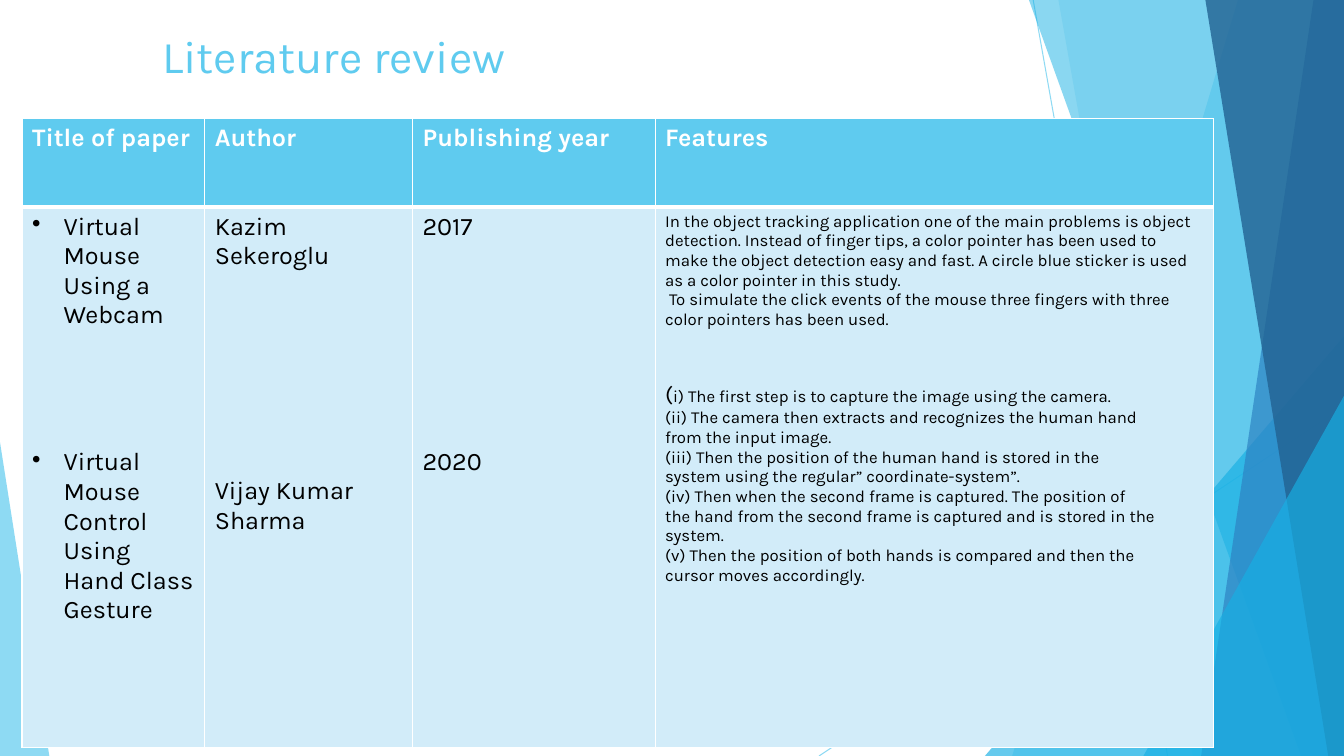
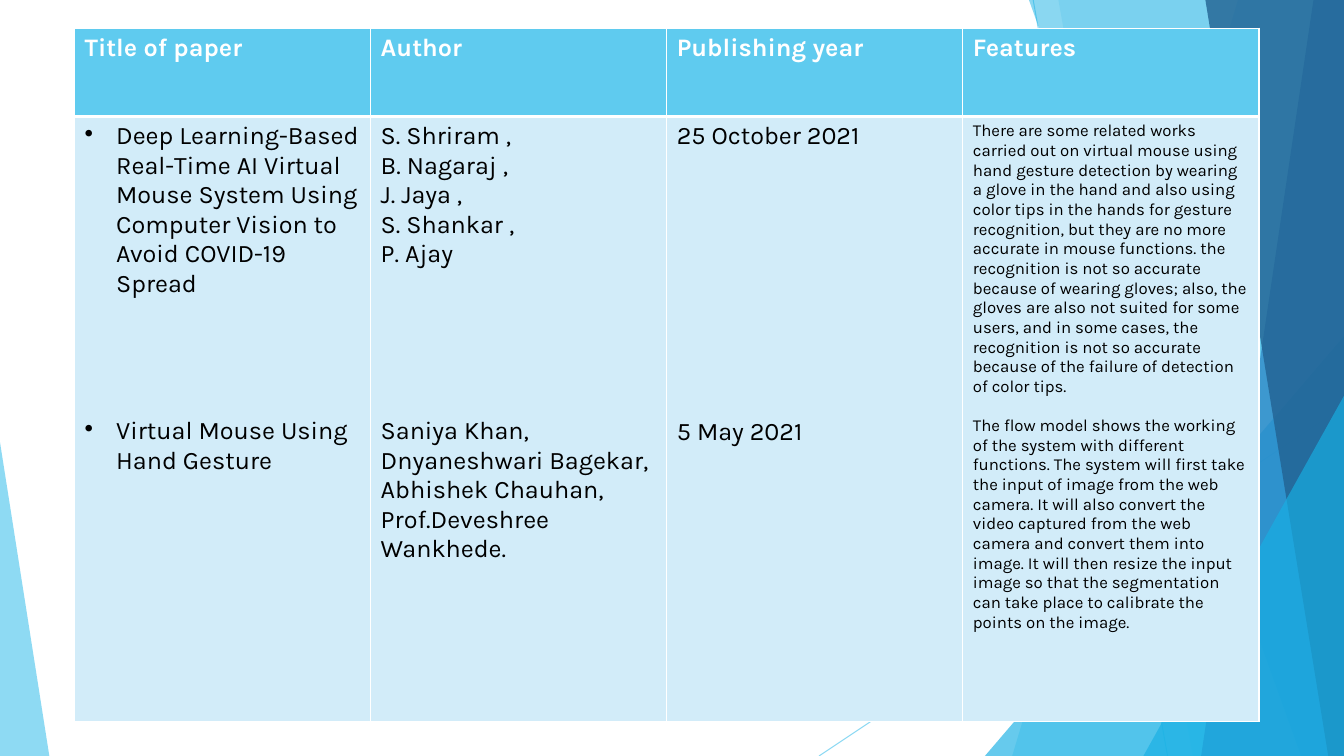
from dataclasses import dataclass
from typing import Any, NamedTuple

from lxml.etree import SubElement
from pptx import Presentation
from pptx.dml.color import RGBColor as RGB
from pptx.enum.shapes import MSO_CONNECTOR as LINK, MSO_SHAPE as KIND
from pptx.enum.text import MSO_ANCHOR as ANCHOR
from pptx.oxml.ns import qn
from pptx.shapes.shapetree import GroupShapes
from pptx.slide import Slide
from pptx.table import _Cell as Cell
from pptx.text.text import _Paragraph as Par
from pptx.util import Pt

PX = 9525
WIDE, HIGH = 1280, 720


@dataclass(frozen=True)
class Theme:
    font: str = "Karla"
    sky: str = "5FCBEF"
    cyan: str = "17B0E4"
    blue: str = "2E83C3"
    navy: str = "226292"
    pale: str = "D2ECF9"
    white: str = "FFFFFF"
    black: str = "000000"
    title: float = 32.4
    body: int = 18
    lead: int = 16
    small: int = 12
    thin: int = 1
    thick: int = 3
    hair: float = 0.75


LOOK = Theme()


class Ray(NamedTuple):
    x1: int
    y1: int
    x2: int
    y2: int


class Band(NamedTuple):
    """A full-height shape from its slanted left side to the right edge."""
    top: int
    foot: int
    color: str
    alpha: int


class Wedge(NamedTuple):
    """A right triangle on the bottom edge; apex is 0 (left) or 1 (right)."""
    x: int
    y: int
    width: int
    apex: int
    color: str
    alpha: int


class Item(NamedTuple):
    text: str
    size: float = LOOK.body
    gap: float = 0
    bullet: bool = False
    lead: str = ""


class Grid(NamedTuple):
    x: int
    y: int
    cols: list[int]
    rows: list[int]
    cells: list[list[Item]]


RAYS = [Ray(984, 0, 1112, HIGH), Ray(WIDE, 387, 780, HIGH)]
DECOR: list[Band | Wedge] = [
    Band(1179, 964, LOOK.sky, 36),
    Band(1008, 1136, LOOK.sky, 20),
    Wedge(938, 320, 342, 1, LOOK.cyan, 66),
    Band(980, 1239, LOOK.cyan, 50),
    Band(1251, 1144, LOOK.blue, 70),
    Band(1148, 1265, LOOK.navy, 80),
    Wedge(1089, 377, 191, 1, LOOK.cyan, 66),
    Wedge(0, 421, 47, 0, LOOK.sky, 70),
]
HEADS = ["Title of paper", "Author", "Publishing year", "Features"]


def small(*texts: str) -> list[Item]:
    return [Item(text, LOOK.small) for text in texts]


FIRST = Grid(21, 113, [174, 198, 231, 532], [84, 515], [
    [Item("Virtual Mouse Using a Webcam", bullet=True),
     Item("Virtual Mouse Control Using Hand Class Gesture", gap=84, bullet=True)],
    [Item("Kazim Sekeroglu"), Item("Vijay Kumar Sharma", gap=147)],
    [Item("2017"), Item("2020", gap=147)],
    [*small(
        "In the object tracking application one of the main problems is object "
        "detection. Instead of finger tips, a color pointer has been used to make "
        "the object detection easy and fast. A circle blue sticker is used as a "
        "color pointer in this study.",
        " To simulate the click events of the mouse three fingers with three "
        "color pointers has been used."),
     Item("i) The first step is to capture the image using the camera.",
          LOOK.small, gap=37.5, lead="("),
     *small(
        "(ii) The camera then extracts and recognizes the human hand",
        "from the input image.",
        "(iii) Then the position of the human hand is stored in the",
        "system using the regular” coordinate-system”.",
        "(iv) Then when the second frame is captured. The position of",
        "the hand from the second frame is captured and is stored in the",
        "system.",
        "(v) Then the position of both hands is compared and then the",
        "cursor moves accordingly.")],
])

SECOND = Grid(71, 27, [282] * 4, [84, 576], [
    [Item("Deep Learning-Based Real-Time AI Virtual Mouse System Using Computer "
          "Vision to Avoid COVID-19 Spread", bullet=True),
     Item("Virtual Mouse Using Hand Gesture", gap=84, bullet=True)],
    [Item("S. Shriram ,"), Item("B. Nagaraj ,"), Item("J. Jaya ,"),
     Item("S. Shankar ,"), Item("P. Ajay"), Item("Saniya Khan,", gap=105),
     Item("Dnyaneshwari Bagekar,"), Item("Abhishek Chauhan,"),
     Item("Prof.Deveshree Wankhede.")],
    [Item("25 October 2021"), Item("5 May 2021", gap=190)],
    [*small(
        "There are some related works carried out on virtual mouse using hand "
        "gesture detection by wearing a glove in the hand and also using color "
        "tips in the hands for gesture recognition, but they are no more accurate "
        "in mouse functions. the recognition is not so accurate because of wearing "
        "gloves; also, the gloves are also not suited for some users, and in some "
        "cases, the recognition is not so accurate because of the failure of "
        "detection of color tips."),
     Item("The flow model shows the working of the system with different "
          "functions. The system will first take the input of image from the web "
          "camera. It will also convert the video captured from the web camera and "
          "convert them into image. It will then resize the input image so that "
          "the segmentation can take place to calibrate the points on the image.",
          LOOK.small, gap=14)],
])


def style(target: Any, **values: Any) -> None:
    for name, value in values.items():
        setattr(target, name, value)


def fade(shape: Any, alpha: int) -> None:
    """Set the opacity, in percent, of every colour in the shape."""
    for color in shape.element.spPr.iter(qn("a:srgbClr")):
        SubElement(color, qn("a:alpha"), val=str(alpha * 1000))


def add_run(par: Par, text: str, size: float, color: str, bold: bool = False) -> None:
    run = par.add_run()
    run.text = text
    style(run.font, name=LOOK.font, size=Pt(size), bold=bold)
    run.font.color.rgb = RGB.from_string(color)


def add_ray(shapes: GroupShapes, ray: Ray) -> None:
    line = shapes.add_connector(LINK.STRAIGHT, *(n * PX for n in ray))
    line.line.width = Pt(LOOK.hair)
    line.line.color.rgb = RGB.from_string(LOOK.sky)
    fade(line, 70)
    SubElement(line.element.spPr, qn("a:effectLst"))


def add_decor(shapes: GroupShapes, part: Band | Wedge) -> None:
    if isinstance(part, Band):
        path = shapes.build_freeform(part.top, 0, scale=PX)
        path.add_line_segments([(WIDE, 0), (WIDE, HIGH), (part.foot, HIGH)], close=True)
        shape = path.convert_to_shape()
    else:
        box = (part.x, part.y, part.width, HIGH - part.y)
        shape = shapes.add_shape(KIND.ISOSCELES_TRIANGLE, *(n * PX for n in box))
        shape.adjustments[0] = part.apex
    shape.shadow.inherit = False
    shape.fill.solid()
    shape.fill.fore_color.rgb = RGB.from_string(part.color)
    shape.line.fill.background()
    fade(shape, part.alpha)


def add_back(slide: Slide) -> None:
    shapes = slide.shapes.add_group_shape().shapes
    for ray in RAYS:
        add_ray(shapes, ray)
    for part in DECOR:
        add_decor(shapes, part)


def add_title(slide: Slide, text: str) -> None:
    frame = slide.shapes.add_textbox(*(n * PX for n in (145, 23, 891, 60))).text_frame
    style(frame, word_wrap=True, vertical_anchor=ANCHOR.MIDDLE)
    add_run(frame.paragraphs[0], text, LOOK.title, LOOK.sky)


def add_bullet(par: Par) -> None:
    props = par._p.get_or_add_pPr()
    props.set("marL", str(30 * PX))
    props.set("indent", str(-30 * PX))
    SubElement(props, qn("a:buChar"), char="•")


def paint(cell: Cell, fill: str, top: int, foot: int) -> None:
    """Give the cell white borders and a fill."""
    props = cell._tc.get_or_add_tcPr()
    edges = {"L": LOOK.thin, "R": LOOK.thin, "T": top, "B": foot}
    for side, width in edges.items():
        line = SubElement(props, qn(f"a:ln{side}"), w=str(Pt(width)))
        SubElement(SubElement(line, qn("a:solidFill")), qn("a:srgbClr"), val=LOOK.white)
    cell.fill.solid()
    cell.fill.fore_color.rgb = RGB.from_string(fill)


def write(cell: Cell, items: list[Item]) -> None:
    frame = cell.text_frame
    for i, item in enumerate(items):
        par = frame.add_paragraph() if i else frame.paragraphs[0]
        if item.gap:
            par.space_before = Pt(item.gap)
        if item.bullet:
            add_bullet(par)
        if item.lead:
            add_run(par, item.lead, LOOK.lead, LOOK.black)
        add_run(par, item.text, item.size, LOOK.black)


def add_grid(slide: Slide, grid: Grid) -> None:
    box = (grid.x, grid.y, sum(grid.cols), sum(grid.rows))
    table = slide.shapes.add_table(
        len(grid.rows), len(grid.cols), *(n * PX for n in box)).table
    table.horz_banding = False
    for row, high in zip(table.rows, grid.rows):
        row.height = high * PX
    for i, (wide, head, items) in enumerate(zip(grid.cols, HEADS, grid.cells)):
        table.columns[i].width = wide * PX
        top, body = table.cell(0, i), table.cell(1, i)
        paint(top, LOOK.sky, LOOK.thin, LOOK.thick)
        add_run(top.text_frame.paragraphs[0], head, LOOK.body, LOOK.white, bold=True)
        paint(body, LOOK.pale, LOOK.thick, LOOK.thin)
        write(body, items)


def main() -> None:
    deck = Presentation()
    style(deck, slide_width=WIDE * PX, slide_height=HIGH * PX)
    for title, grid in (("Literature review", FIRST), ("", SECOND)):
        slide = deck.slides.add_slide(deck.slide_layouts[6])
        add_back(slide)
        if title:
            add_title(slide, title)
        add_grid(slide, grid)
    deck.save("out.pptx")


if __name__ == "__main__":
    main()
